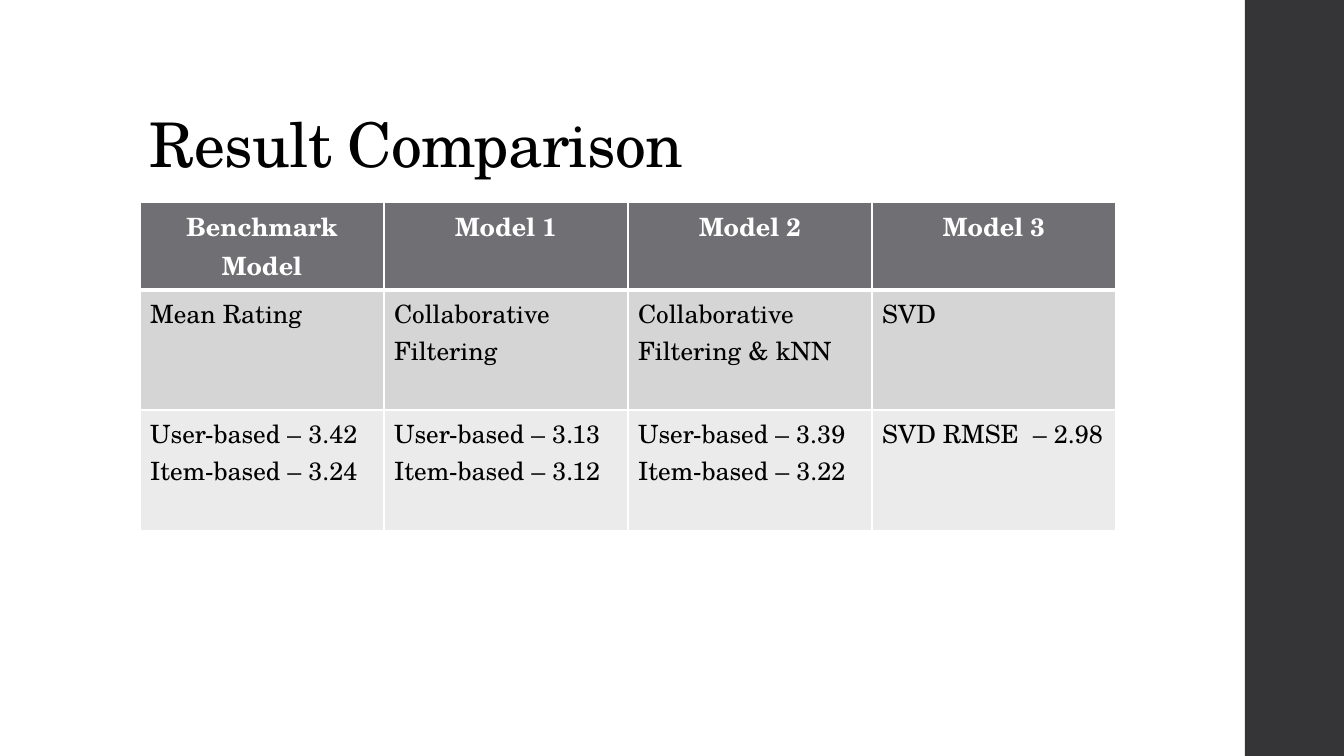
"""Builds the Result Comparison slide with its table of model scores."""
from lxml import etree
from pptx import Presentation, util as u
from pptx.dml.color import RGBColor
from pptx.enum import shapes, text
from pptx.oxml.ns import qn

TITLE = "Result Comparison"
ROWS = [
    ["Benchmark Model", "Model 1", "Model 2", "Model 3"],
    ["Mean Rating", "Collaborative Filtering", "Collaborative Filtering & kNN", "SVD"],
    ["User-based – 3.42\nItem-based – 3.24", "User-based – 3.13\nItem-based – 3.12",
     "User-based – 3.39\nItem-based – 3.22", "SVD RMSE  – 2.98"],
]
HEX = {"bar": "353537", "head": "6F6F74", "odd": "D5D5D6", "even": "EBEBEB",
       "white": "FFFFFF", "black": "000000"}
FILLS = ["head", "odd", "even"]
HIGH = [88, 120, 121]
LEFT, TOP, COL = 140, 202, 244
SCALE = 914400 / 100.8
FONT = "TeX Gyre Schola"
HEAD = {"size": u.Pt(18), "name": FONT, "bold": True}
BODY = {**HEAD, "bold": False}
BIG = {**BODY, "size": u.Pt(44)}


def px(num):
    return u.Emu(round(num * SCALE))


def rgb(key):
    return RGBColor.from_string(HEX[key])


def write(frame, words, look, tint, align, gap=None):
    frame.text = words
    for para in frame.paragraphs:
        para.alignment = align
        para.line_spacing = gap
        for run in para.runs:
            for key, val in look.items():
                setattr(run.font, key, val)
            run.font.color.rgb = rgb(tint)


def edge(cell, side, width):
    line = etree.SubElement(cell._tc.get_or_add_tcPr(), qn("a:ln" + side), w=str(u.Pt(width)))
    fill = etree.SubElement(line, qn("a:solidFill"))
    etree.SubElement(fill, qn("a:srgbClr"), val=HEX["white"])


def add_bar(slide):
    bar = slide.shapes.add_shape(shapes.MSO_SHAPE.RECTANGLE, px(1245), 0, px(99), px(756))
    bar.shadow.inherit = False
    bar.fill.solid()
    bar.fill.fore_color.rgb = rgb("bar")
    bar.line.fill.background()


def add_title(slide):
    frame = slide.shapes.add_textbox(px(LEFT), px(40), px(1068), px(146)).text_frame
    frame.word_wrap = True
    frame.vertical_anchor = text.MSO_ANCHOR.BOTTOM
    write(frame, TITLE, BIG, "black", text.PP_ALIGN.LEFT, 0.9)
    frame.paragraphs[0].runs[0].font._element.set("spc", "-50")


def add_scores(slide):
    count = len(ROWS[0])
    table = slide.shapes.add_table(len(ROWS), count, px(LEFT), px(TOP),
                                   px(COL * count), px(sum(HIGH))).table
    for col in table.columns:
        col.width = px(COL)
    for r, row in enumerate(ROWS):
        table.rows[r].height = px(HIGH[r])
        look, tint, align = ((BODY, "black", text.PP_ALIGN.LEFT) if r
                             else (HEAD, "white", text.PP_ALIGN.CENTER))
        widths = {"L": 1, "R": 1, "T": 3 if r == 1 else 1, "B": 1 if r else 3}
        for c, words in enumerate(row):
            cell = table.cell(r, c)
            write(cell.text_frame, words, look, tint, align)
            for side, width in widths.items():
                edge(cell, side, width)
            cell.fill.solid()
            cell.fill.fore_color.rgb = rgb(FILLS[r])


def main():
    deck = Presentation()
    deck.slide_width, deck.slide_height = px(1344), px(756)
    slide = deck.slides.add_slide(deck.slide_layouts[6])
    add_bar(slide)
    add_title(slide)
    add_scores(slide)
    deck.save("out.pptx")


if __name__ == "__main__":
    main()
